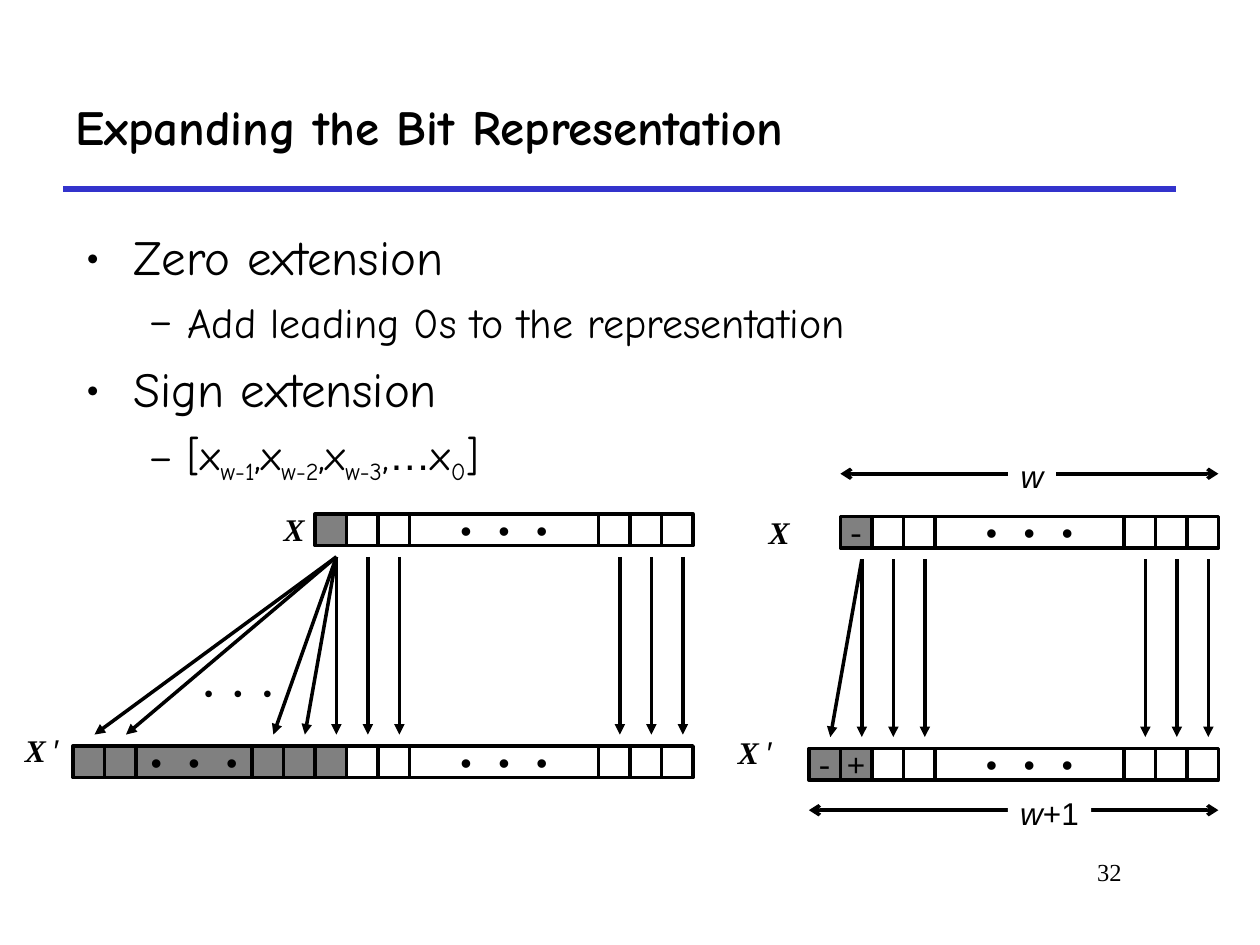
from lxml import etree
from pptx import Presentation
from pptx import util as u
from pptx.dml.color import RGBColor
from pptx.enum import shapes, text
from pptx.oxml import ns


class Theme:
    ink, paper, sign, rule = "000000", "FFFFFF", "808080", "3333CC"
    head, body, cell, small = 28, 24, 18, 14
    hand, mono, serif, sans = "Comic Neue", "Courier New", "Times New Roman", "Arial"


DOTS = chr(160).join("•••")  # joined by no-break spaces
UNIT = 0.25
GAP = 6 * UNIT
TAIL = [(UNIT, 0, "")] * 2 + [(GAP, 0, "")] + [(UNIT, 0, "")] * 3


def child(node, tag, **attrs):
    return etree.SubElement(node, ns.qn(tag), attrs)


def write(par, words, size=Theme.cell, font=Theme.mono, bold=False,
          ital=False, sub=False):
    """Add one run with its format to a paragraph."""
    run = par.add_run()
    run.text = words
    face = run.font
    face.size, face.name = u.Pt(size), font
    face.bold, face.italic = bold, ital
    face.color.rgb = RGBColor.from_string(Theme.ink)
    if sub:
        run._r.get_or_add_rPr().set("baseline", "-25000")


class Board:
    def __init__(self, slide):
        self.slide = slide
        self.items = slide.shapes

    def group(self):
        self.items = self.slide.shapes.add_group_shape().shapes

    def frame(self, shape, align="CENTER", mid=False, wrap=False):
        box = shape.text_frame
        box.word_wrap = wrap
        box.auto_size = text.MSO_AUTO_SIZE.NONE
        if not wrap:
            box.margin_left = box.margin_right = 0
        box.vertical_anchor = text.MSO_ANCHOR.MIDDLE if mid else text.MSO_ANCHOR.TOP
        box.paragraphs[0].alignment = text.PP_ALIGN[align]
        return box

    def label(self, x, y, w, h, runs, fill=None, **form):
        box = self.items.add_textbox(*map(u.Inches, (x, y, w, h)))
        if fill:
            box.fill.solid()
            box.fill.fore_color.rgb = RGBColor.from_string(fill)
        par = self.frame(box, **form).paragraphs[0]
        for words, style in runs:
            write(par, words, **style)

    def points(self, x, y, w, h, rows):
        box = self.frame(self.items.add_textbox(*map(u.Inches, (x, y, w, h))),
                         align="LEFT", wrap=True)
        for num, (level, runs) in enumerate(rows):
            par = box.add_paragraph() if num else box.paragraphs[0]
            par.level = level
            par.space_before = u.Pt(6 if level else 7)
            left, hang, mark = ((0.81, 0.31, "–") if level else (0.38, 0.38, "•"))
            props = par._p.get_or_add_pPr()
            props.set("marL", str(u.Inches(left)))
            props.set("indent", str(-u.Inches(hang)))
            child(child(props, "a:buClr"), "a:srgbClr", val=Theme.ink)
            child(props, "a:buFont", typeface=Theme.hand)
            child(props, "a:buChar", char=mark)
            size = Theme.body if level else Theme.head
            for words, style in runs:
                write(par, words, **{"size": size, "font": Theme.hand, **style})

    def cell(self, x, y, w, dark, words):
        box = self.items.add_shape(shapes.MSO_SHAPE.RECTANGLE,
                                   *map(u.Inches, (x, y, w, UNIT)))
        box.shadow.inherit = False
        box.fill.solid()
        box.fill.fore_color.rgb = RGBColor.from_string(Theme.sign if dark else Theme.paper)
        box.line.color.rgb = RGBColor.from_string(Theme.ink)
        box.line.width = u.Pt(2)
        if words:
            write(self.frame(box, mid=True).paragraphs[0], words)

    def strip(self, x, y, lead):
        """Draw the leading cells, then the plain bits, side by side."""
        for wide, dark, words in lead + TAIL:
            self.cell(x, y, wide, dark, DOTS if wide > UNIT else words)
            x += wide

    def line(self, x1, y1, x2, y2, color=Theme.ink, width=2, head=None, tail=None):
        link = self.items.add_connector(shapes.MSO_CONNECTOR.STRAIGHT,
                                        *map(u.Inches, (x1, y1, x2, y2)))
        link.line.color.rgb = RGBColor.from_string(color)
        link.line.width = u.Pt(width)
        child(link._element.spPr, "a:effectLst")
        pen = link.line._get_or_add_ln()
        for tag, kind in (("a:headEnd", head), ("a:tailEnd", tail)):
            if kind:
                child(pen, tag, type=kind)

    def diagram(self, left, top, name, top_lead, low_lead, fan):
        """Show a word, its widened form and the arrows between them."""
        self.group()
        self.strip(left, top, top_lead)
        wide = sum(part[0] for part in low_lead)
        self.strip(left + UNIT - wide, top + 1.84, low_lead)
        # Names of the two words
        bold = dict(font=Theme.serif, bold=True, ital=True)
        self.label(name, top - 0.08, 0.43, 0.4, [("X ", bold)])
        prime = [("X ", bold), ("′", dict(font=Theme.sans))]
        low = name - 0.26 if len(fan) == 1 else 0.08
        self.label(low, top + 1.67, 0.51, 0.4, prime)
        # Copies of the sign bit fan out, the other bits go straight down
        start, y1, y2 = left + 0.17, top + 0.34, top + 1.75
        for step in fan:
            self.line(start, y1, start - step, y2, tail="triangle")
        for step in (0, 1, 2, 9, 10, 11):
            x = start + step * UNIT
            self.line(x, y1, x, y2, tail="triangle")

    def span(self, x1, x2, y, wide, runs):
        """Draw a width mark with its label on the line."""
        self.line(x1, y, x2, y, head="arrow", tail="arrow")
        self.label(8, y - 0.18, wide, 0.4, runs, fill=Theme.paper)


def main():
    deck = Presentation()
    deck.slide_width, deck.slide_height = u.Inches(10), u.Inches(7.5)
    board = Board(deck.slides.add_slide(deck.slide_layouts[6]))

    # Title, rule and page number
    board.line(0.5, 1.5, 9.33, 1.5, color=Theme.rule, width=3)
    board.label(7.58, 6.75, 1.42, 0.5,
                [("32", dict(size=Theme.small, font=Theme.serif))],
                align="RIGHT", wrap=True)
    board.label(0.5, 0.5, 9.08, 1,
                [("Expanding the Bit Representation",
                  dict(size=Theme.head, font=Theme.hand, bold=True))],
                align="LEFT", mid=True, wrap=True)

    # Points
    sub = dict(sub=True)
    bits = [("[x", {}), ("w-1", sub), (",x", {}), ("w-2", sub), (",x", {}),
            ("w-3", sub), (",", {}), ("…", dict(font=Theme.sans)),
            ("x", {}), ("0", sub), ("]", {})]
    board.points(0.58, 1.75, 8.67, 4.83, [
        (0, [("Zero extension", {})]),
        (1, [("Add leading 0s to the representation", {})]),
        (0, [("Sign extension", {})]),
        (1, bits),
    ])

    # Sign bit copied many times
    dark = (UNIT, 1, "")
    board.diagram(2.5, 4.08, 2.15, [dark],
                  [dark] * 2 + [(0.92, 1, "")] + [dark] * 3,
                  (0.25, 0.5, 1.67, 1.92))
    board.label(1.5, 5.33, 0.78, 0.34, [(DOTS, dict(size=Theme.small))])

    # Sign bit copied once
    board.diagram(6.67, 4.1, 6, [(UNIT, 1, "-")],
                  [(UNIT, 1, "-"), (UNIT, 1, "+")], (0.25,))
    width = ("w", dict(font=Theme.sans, ital=True))
    board.span(6.42, 9.67, 6.43, 0.66, [width, ("+1", dict(font=Theme.sans))])
    board.span(6.67, 9.67, 3.76, 0.38, [width])

    deck.save("out.pptx")


if __name__ == "__main__":
    main()
